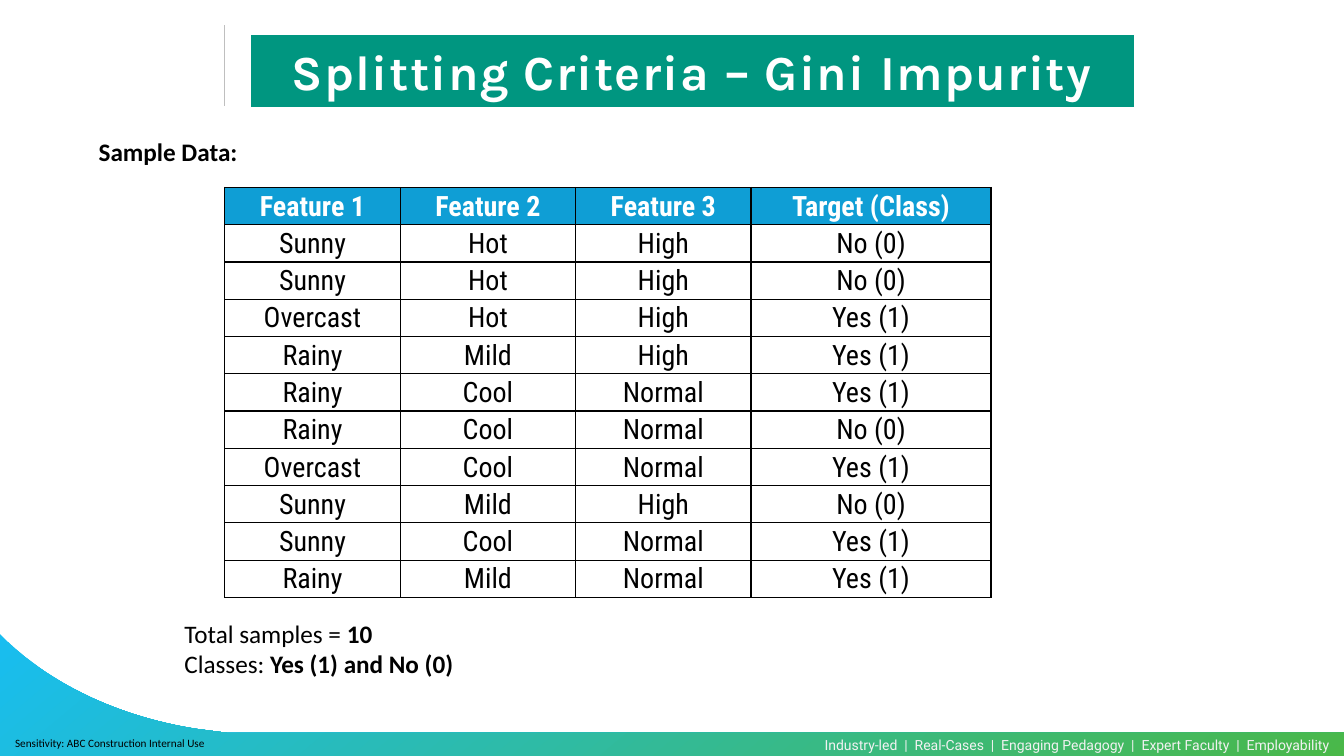
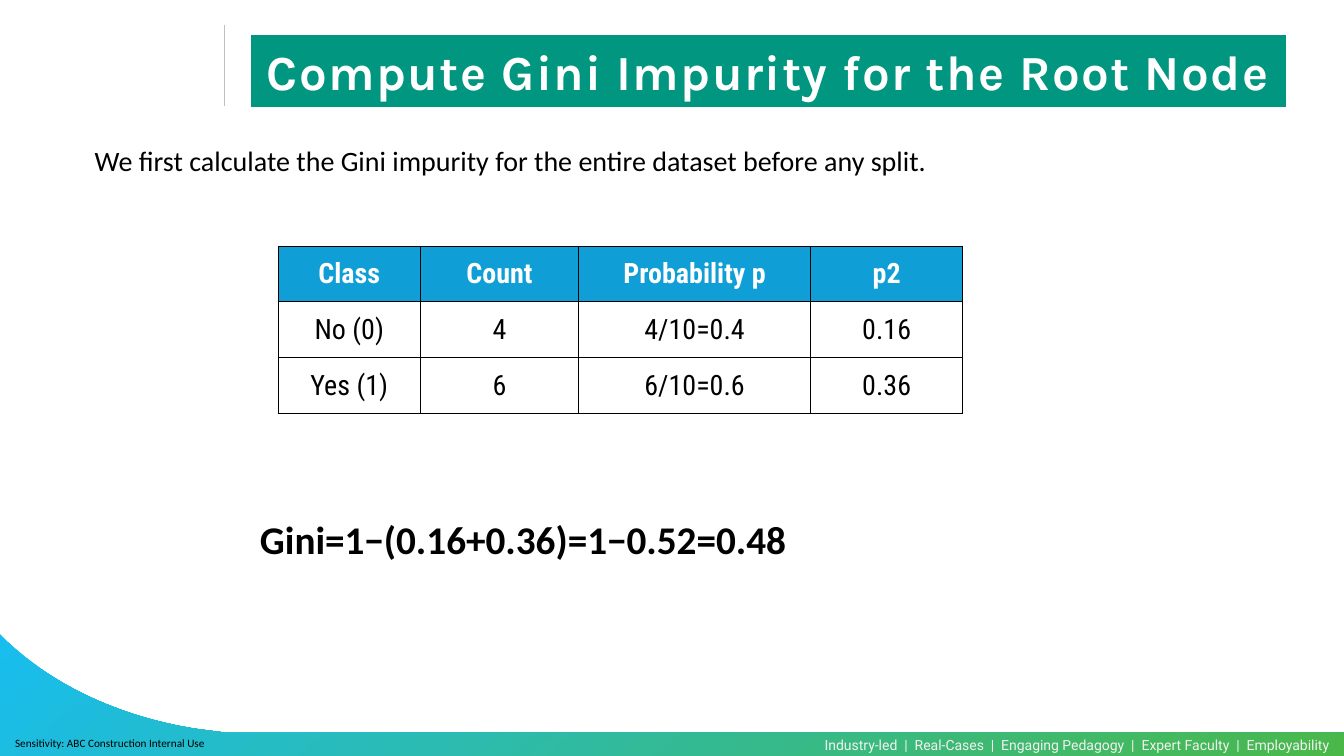
from dataclasses import dataclass

from lxml.etree import SubElement
from pptx import Presentation
from pptx.dml.color import RGBColor
from pptx.enum.shapes import MSO_CONNECTOR, MSO_SHAPE
from pptx.enum.text import MSO_ANCHOR, PP_ALIGN
from pptx.oxml import parse_xml
from pptx.oxml.ns import nsdecls, qn
from pptx.util import Inches, Pt


@dataclass(frozen=True)
class Theme:
    white: str = "FFFFFF"
    black: str = "000000"
    title_green: str = "009680"
    header_blue: str = "0F9ED5"
    rule_grey: str = "BFBFBF"
    footer_grey: str = "F2F2F2"
    wave_start: str = "18BDF0"
    wave_end: str = "4AB849"
    title_font: str = "Karla"
    body_font: str = "Calibri"
    table_font: str = "Roboto Condensed"
    footer_font: str = "Roboto"
    title_size: int = 35
    result_size: int = 28
    large_size: int = 20
    body_size: int = 18
    footer_size: int = 10
    label_size: int = 8


theme = Theme()


def style_run(run, size, font=theme.body_font, color=theme.black, bold=False):
    run.font.size = Pt(size)
    run.font.name = font
    run.font.bold = bold
    run.font.color.rgb = RGBColor.from_string(color)


def add_text(slide, box, lines, size, font=theme.body_font, color=theme.black,
             align=PP_ALIGN.LEFT, tight=False):
    """Each line is a list of (text, bold) parts; tight removes the margins."""
    shape = slide.shapes.add_textbox(*map(Inches, box))
    text_frame = shape.text_frame
    text_frame.word_wrap = True
    if tight:
        text_frame.margin_left = text_frame.margin_right = 0
        text_frame.margin_top = text_frame.margin_bottom = 0
        text_frame.vertical_anchor = MSO_ANCHOR.MIDDLE
    for index, parts in enumerate(lines):
        paragraph = text_frame.add_paragraph() if index else text_frame.paragraphs[0]
        paragraph.alignment = align
        for text, bold in parts:
            run = paragraph.add_run()
            run.text = text
            style_run(run, size, font, color, bold)


# Content: texts are (box, lines, size)
slides = [
    {
        "title": "Splitting Criteria – Gini Impurity",
        "title_width": 8.77,
        "texts": [
            ((1.73, 6.08, 6.79, 0.71),
             [[("Total samples = ", False), ("10", True)],
              [("Classes: ", False), ("Yes (1) and No (0)", True)]],
             theme.body_size),
            ((0.88, 1.3, 6.79, 0.4), [[("Sample Data:", True)]], theme.body_size),
        ],
        "table_box": (2.23, 1.86, 7.6, 4.07),
        "columns": [1.74, 1.74, 1.74, 2.38],
        "border": 1,
        "rows": [
            ("Feature 1", "Feature 2", "Feature 3", "Target (Class)"),
            ("Sunny", "Hot", "High", "No (0)"),
            ("Sunny", "Hot", "High", "No (0)"),
            ("Overcast", "Hot", "High", "Yes (1)"),
            ("Rainy", "Mild", "High", "Yes (1)"),
            ("Rainy", "Cool", "Normal", "Yes (1)"),
            ("Rainy", "Cool", "Normal", "No (0)"),
            ("Overcast", "Cool", "Normal", "Yes (1)"),
            ("Sunny", "Mild", "High", "No (0)"),
            ("Sunny", "Cool", "Normal", "Yes (1)"),
            ("Rainy", "Mild", "Normal", "Yes (1)"),
        ],
    },
    {
        "title": "Compute Gini Impurity for the Root Node",
        "title_width": 10.28,
        "texts": [
            ((2.48, 5.06, 6.79, 0.57),
             [[("Gini=1−(0.16+0.36)=1−0.52=0.48", True)]], theme.result_size),
            ((0.84, 1.37, 9.46, 0.44),
             [[("We first calculate the Gini impurity for the entire dataset "
                "before any split.", False)]], theme.large_size),
        ],
        "table_box": (2.76, 2.44, 6.79, 1.66),
        "columns": [1.41, 1.57, 2.3, 1.51],
        "border": 0.5,
        "rows": [
            ("Class", "Count", "Probability p", "p2"),
            ("No (0)", "4", "4/10=0.4", "0.16"),
            ("Yes (1)", "6", "6/10=0.6", "0.36"),
        ],
    },
]

# Outline of the footer wave: a cubic curve running into a flat band
curve = [(0.07, 6.36), (0.53, 6.8), (1.19, 7.11), (1.94, 7.23)]
wave_points = []
for step in range(25):
    t = step / 24
    weights = ((1 - t) ** 3, 3 * t * (1 - t) ** 2, 3 * t ** 2 * (1 - t), t ** 3)
    wave_points.append(tuple(
        sum(weight * point[axis] for weight, point in zip(weights, curve))
        for axis in (0, 1)))
wave_points += [(2.25, 7.27), (13.33, 7.27), (13.33, 7.5), (0, 7.5)]

presentation = Presentation()
presentation.slide_width = Inches(13.33)
presentation.slide_height = Inches(7.5)

for content in slides:
    slide = presentation.slides.add_slide(presentation.slide_layouts[6])

    # Rule beside the title
    rule = slide.shapes.add_connector(
        MSO_CONNECTOR.STRAIGHT, Inches(2.23), Inches(0.25), Inches(2.23), Inches(1.05))
    rule.line.color.rgb = RGBColor.from_string(theme.rule_grey)
    rule.line.width = Pt(0.5)
    SubElement(rule._element.spPr, qn("a:effectLst"))

    # Footer wave
    builder = slide.shapes.build_freeform(0, Inches(6.29), scale=1.0)
    builder.add_line_segments([(Inches(x), Inches(y)) for x, y in wave_points])
    wave = builder.convert_to_shape()
    wave.shadow.inherit = False
    wave.line.fill.background()
    wave.fill.gradient()
    wave.fill.gradient_angle = 310
    for stop, color in zip(wave.fill.gradient_stops, (theme.wave_start, theme.wave_end)):
        stop.color.rgb = RGBColor.from_string(color)

    # Footer texts
    add_text(slide, (8.03, 7.25, 5.3, 0.28),
             [[("Industry-led  |  Real-Cases  |  Engaging Pedagogy  |  "
                "Expert Faculty  |  Employability", False)]],
             theme.footer_size, theme.footer_font, theme.footer_grey,
             PP_ALIGN.CENTER, tight=True)
    add_text(slide, (0.15, 7.25, 2.17, 0.25),
             [[("Sensitivity: ABC Construction Internal Use", False)]],
             theme.label_size, tight=True)

    # Title band
    band = slide.shapes.add_shape(
        MSO_SHAPE.RECTANGLE, Inches(2.48), Inches(0.34),
        Inches(content["title_width"]), Inches(0.73))
    band.shadow.inherit = False
    band.fill.solid()
    band.fill.fore_color.rgb = RGBColor.from_string(theme.title_green)
    band.line.color.rgb = RGBColor.from_string(theme.white)
    band.line.width = Pt(1)
    text_frame = band.text_frame
    text_frame.margin_left = text_frame.margin_right = Inches(0.05)
    text_frame.margin_top = text_frame.margin_bottom = Inches(0.05)
    text_frame.vertical_anchor = MSO_ANCHOR.MIDDLE
    text_frame.text = content["title"]
    paragraph = text_frame.paragraphs[0]
    paragraph.alignment = PP_ALIGN.CENTER
    run = paragraph.runs[0]
    style_run(run, theme.title_size, theme.title_font, theme.white, bold=True)
    run._r.get_or_add_rPr().set("spc", "100")

    # Body texts
    for box, lines, size in content["texts"]:
        add_text(slide, box, lines, size)

    # Table
    rows = content["rows"]
    table = slide.shapes.add_table(
        len(rows), len(rows[0]), *map(Inches, content["table_box"])).table
    table.horz_banding = False
    for column, width in zip(table.columns, content["columns"]):
        column.width = Inches(width)
    for row_index, values in enumerate(rows):
        is_header = row_index == 0
        table.rows[row_index].height = Inches(content["table_box"][3] / len(rows))
        for column_index, value in enumerate(values):
            cell = table.cell(row_index, column_index)
            cell.margin_left = cell.margin_right = cell.margin_top = Inches(0.01)
            cell.margin_bottom = 0
            cell.vertical_anchor = MSO_ANCHOR.MIDDLE
            for side in ("lnL", "lnR", "lnT", "lnB"):
                cell._tc.get_or_add_tcPr().append(parse_xml(
                    f'<a:{side} {nsdecls("a")} w="{Pt(content["border"])}"><a:solidFill>'
                    f'<a:srgbClr val="{theme.black}"/></a:solidFill></a:{side}>'))
            cell.fill.solid()
            cell.fill.fore_color.rgb = RGBColor.from_string(
                theme.header_blue if is_header else theme.white)
            cell.text_frame.text = value
            paragraph = cell.text_frame.paragraphs[0]
            paragraph.alignment = PP_ALIGN.CENTER
            style_run(paragraph.runs[0], theme.large_size, theme.table_font,
                      theme.white if is_header else theme.black, is_header)

presentation.save("out.pptx")
